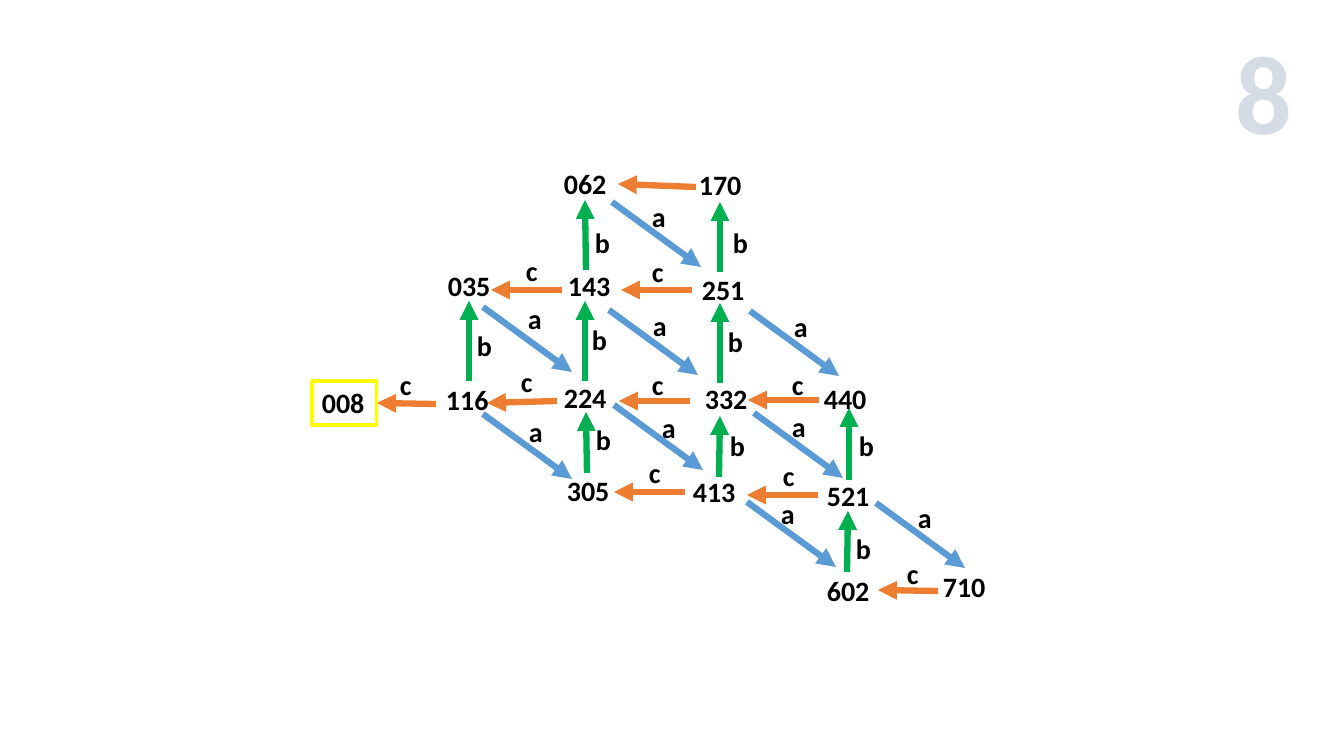
from dataclasses import dataclass
from typing import Optional

from lxml.etree import SubElement
from pptx import Presentation
from pptx.dml.color import RGBColor
from pptx.enum.dml import MSO_PATTERN
from pptx.enum.shapes import MSO_CONNECTOR
from pptx.enum.text import MSO_ANCHOR, MSO_AUTO_SIZE, PP_ALIGN
from pptx.oxml.ns import qn
from pptx.util import Emu, Pt

EMU_PER_PX = 914400 / 100.8
FONT = "Calibri"
NODE_W, LABEL_W, TEXT_H = 65, 41, 44


@dataclass(frozen=True)
class Move:
    """A kind of step: its letter, arrow colour and usual run."""
    letter: str
    color: str
    run: tuple[int, int]


@dataclass(frozen=True)
class Edge:
    """An arrow by its start, with its label's corner and any special run."""
    move: Move
    start: tuple[int, int]
    label: Optional[tuple[int, int]]
    run: Optional[tuple[int, int]] = None


@dataclass(frozen=True)
class Node:
    """A three-digit state and the corner of its box."""
    text: str
    x: int
    y: int
    frame: Optional[str] = None


A = Move("a", "5B9BD5", (89, 65))
B = Move("b", "00B050", (0, -80))
C = Move("c", "ED7D31", (-71, 0))

EDGES = [
    Edge(A, (612, 202), (642, 195)),
    Edge(A, (483, 307), (518, 297)),
    Edge(A, (609, 310), (643, 304)),
    Edge(A, (750, 311), (784, 305)),
    Edge(A, (483, 414), (519, 410)),
    Edge(A, (614, 405), (652, 406)),
    Edge(A, (754, 413), (782, 405)),
    Edge(A, (747, 502), (771, 492)),
    Edge(A, (876, 503), (908, 496)),
    Edge(B, (586, 270), (585, 221), (-1, -70)),
    Edge(B, (720, 272), (723, 221), (0, -70)),
    Edge(B, (469, 381), (467, 324)),
    Edge(B, (585, 381), (582, 318)),
    Edge(B, (720, 383), (718, 320)),
    Edge(B, (587, 473), (586, 418), (-1, -61)),
    Edge(B, (719, 477), (720, 424), (1, -61)),
    Edge(B, (849, 480), (849, 424), (0, -72)),
    Edge(B, (847, 572), (846, 527), (1, -61)),
    Edge(C, (696, 187), None, (-78, -3)),
    Edge(C, (562, 290), (516, 249)),
    Edge(C, (692, 290), (642, 250)),
    Edge(C, (436, 404), (390, 363), (-59, -1)),
    Edge(C, (557, 401), (511, 360), (-70, 2)),
    Edge(C, (690, 401), (642, 363)),
    Edge(C, (819, 400), (782, 363)),
    Edge(C, (685, 492), (639, 451)),
    Edge(C, (818, 495), (773, 454)),
    Edge(C, (938, 591), (897, 552), (-60, -1)),
]

NODES = [
    Node("062", 554, 162), Node("170", 689, 163),
    Node("035", 438, 264), Node("143", 558, 264), Node("251", 692, 268),
    Node("008", 312, 381, "FFFF00"), Node("116", 436, 378),
    Node("224", 554, 376), Node("332", 695, 377), Node("440", 814, 377),
    Node("305", 557, 469), Node("413", 683, 470), Node("521", 817, 474),
    Node("602", 817, 569), Node("710", 933, 565),
]


def px(n: float) -> Emu:
    """Turn pixels into EMU."""
    return Emu(round(n * EMU_PER_PX))


def rgb(value: str) -> RGBColor:
    """Turn a hex string into a colour."""
    return RGBColor.from_string(value)


def add_run(p, text: str, size: int):
    """Add one bold run and return it."""
    r = p.add_run()
    r.text = text
    r.font.name, r.font.size, r.font.bold = FONT, Pt(size), True
    return r


def add_text(slide, text: str, x: int, y: int, w: int):
    """Add a black 20 pt text box and return it."""
    s = slide.shapes.add_textbox(px(x), px(y), px(w), px(TEXT_H))
    s.text_frame.word_wrap = True
    r = add_run(s.text_frame.paragraphs[0], text, 20)
    r.font.color.rgb = rgb("000000")
    return s


def draw_edge(slide, edge: Edge) -> None:
    """Draw an arrow and its letter."""
    (x, y), (dx, dy) = edge.start, edge.run or edge.move.run
    s = slide.shapes.add_connector(
        MSO_CONNECTOR.STRAIGHT, px(x), px(y), px(x + dx), px(y + dy))
    s.line.color.rgb = rgb(edge.move.color)
    s.line.width = Pt(4.5)
    SubElement(s.line._get_or_add_ln(), qn("a:tailEnd"), type="triangle")
    SubElement(s._element.spPr, qn("a:effectLst"))
    if edge.label:
        add_text(slide, edge.move.letter, *edge.label, LABEL_W)


def draw_node(slide, node: Node) -> None:
    """Draw a state, framed if it has a frame colour."""
    s = add_text(slide, node.text, node.x, node.y, NODE_W)
    if node.frame:
        s.line.color.rgb = rgb(node.frame)
        s.line.width = Pt(2.25)


def draw_title(slide, text: str) -> None:
    """Place the large hatched number in the title placeholder."""
    s = slide.shapes.title
    s.left, s.top, s.width, s.height = px(1225), px(17), px(78), px(146)
    tf = s.text_frame
    tf.word_wrap = False
    tf.auto_size = MSO_AUTO_SIZE.NONE
    tf.vertical_anchor = MSO_ANCHOR.TOP
    p = tf.paragraphs[0]
    p.alignment = PP_ALIGN.CENTER
    fill = add_run(p, text, 80).font.fill
    fill.patterned()
    fill.pattern = MSO_PATTERN.DARK_UPWARD_DIAGONAL
    fill.fore_color.rgb = rgb("44546A")
    fill.back_color.rgb = rgb("D6DCE5")


def main() -> None:
    """Build the state graph slide."""
    prs = Presentation()
    prs.slide_width, prs.slide_height = px(1344), px(756)
    slide = prs.slides.add_slide(prs.slide_layouts.get_by_name("Title Only"))
    draw_title(slide, "8")
    for edge in EDGES:
        draw_edge(slide, edge)
    for node in NODES:
        draw_node(slide, node)
    prs.save("out.pptx")


main()
